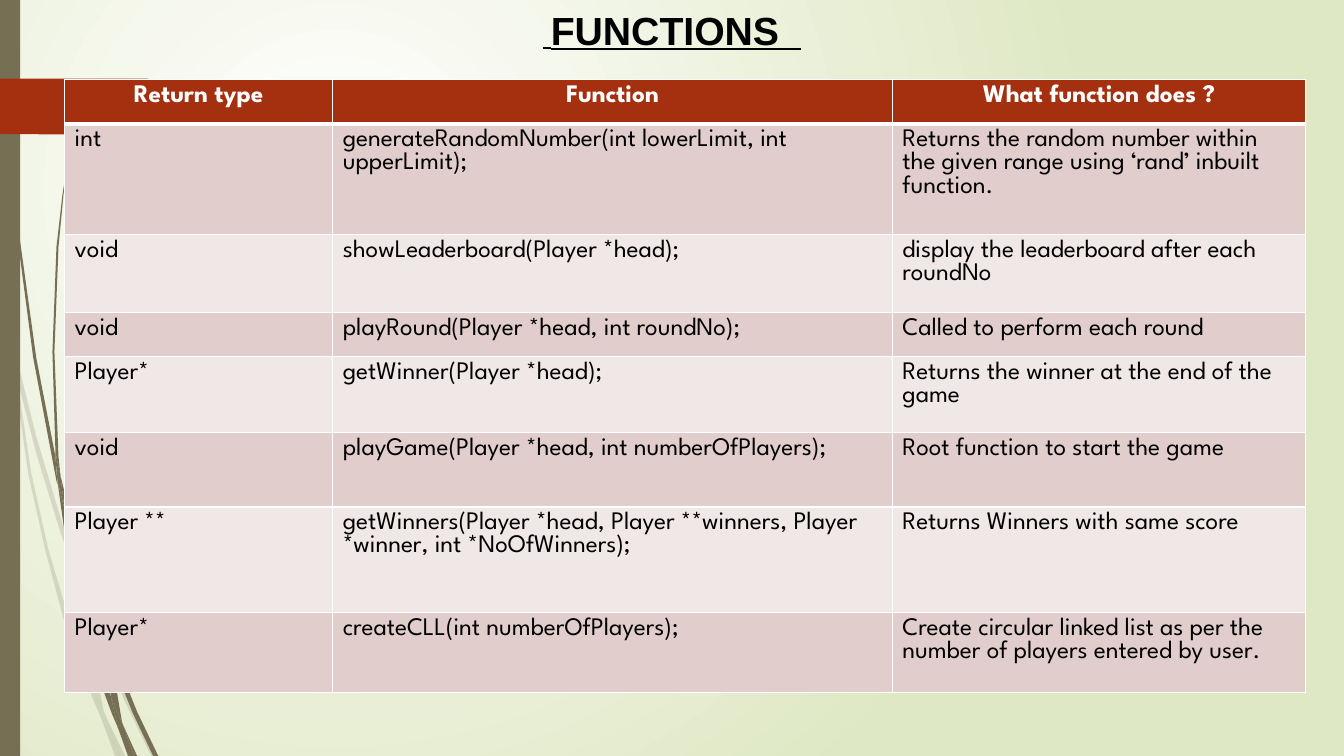
"""Build the FUNCTIONS slide: a table of game functions beside a decorated left edge."""
from dataclasses import dataclass

from lxml import etree
from pptx import Presentation
from pptx import util as u
from pptx.dml.color import RGBColor
from pptx.enum import shapes, text
from pptx.oxml.ns import qn


@dataclass(frozen=True)
class Theme:
    white: str = "FFFFFF"
    black: str = "000000"
    backdrop: str = "DFE8C4"
    olive: str = "766F54"
    rust: str = "A53010"
    bands: tuple = ("E1CDCC", "F0E8E7")
    title_font: str = "Arial"
    table_font: str = "League Spartan"
    title_size: int = 28
    gap_size: int = 20
    table_size: int = 18


THEME = Theme()

COL_WIDTHS = (2.66, 5.55, 4.1)
ROW_HEIGHTS = (0.44, 1.1, 0.77, 0.44, 0.75, 0.74, 1.05, 0.79)
ROWS = (
    ("Return type", "Function", "What function does ?"),
    ("int ", "generateRandomNumber(int lowerLimit, int upperLimit);",
     "Returns the random number within the given range using ‘rand’ inbuilt function."),
    ("void", "showLeaderboard(Player *head);", "display the leaderboard after each roundNo"),
    ("void", "playRound(Player *head, int roundNo);", "Called to perform each round"),
    ("Player*", "getWinner(Player *head);", "Returns the winner at the end of the game"),
    ("void", "playGame(Player *head, int numberOfPlayers);", "Root function to start the game"),
    ("Player **", "getWinners(Player *head, Player **winners, Player *winner, int *NoOfWinners);",
     "Returns Winners with same score"),
    ("Player*", "createCLL(int numberOfPlayers);",
     "Create circular linked list as per the number of players entered by user."),
)

PALE_BLADES = (
    ((0.11, 3.5), (0.09, 3.22), (0, 2.82), (0, 2.99), (0.1, 3.44)),
    ((0.58, 5.22), (0.84, 5.99), (0.85, 5.86), (0.62, 5.2), (0.36, 4.33), (0.14, 3.45),
     (0.17, 3.76), (0.36, 4.5)),
    ((0.92, 6.07), (0.88, 5.96), (0.88, 6.1), (1.23, 6.94), (1.5, 7.5), (1.55, 7.5), (1.27, 6.92)),
    ((1.19, 7.5), (1.24, 7.5), (1.05, 7.11)),
    ((0.93, 6.83), (0.7, 6.19), (0.48, 5.45), (0.31, 4.69), (0.17, 3.76), (0.11, 3.5),
     (0.28, 4.7), (0.45, 5.46), (0.65, 6.21), (0.92, 6.93), (1.01, 7.14), (0.99, 7.07)),
    ((0.84, 5.99), (0.87, 6.46), (0.93, 6.83), (0.96, 6.92), (1.05, 7.11), (1.03, 7.06),
     (0.91, 6.46), (0.88, 6.08)),
    ((1.01, 7.14), (1.14, 7.5), (1.19, 7.5)),
    ((0.96, 6.92), (0.93, 6.83), (0.99, 7.07), (1.01, 7.14), (1.19, 7.5), (1.05, 7.11)),
)
DARK_BLADES = (
    ((0.07, 1.1), (0.17, 2.33), (0.33, 3.55), (0.56, 4.77), (0.57, 4.81), (0.55, 4.53),
     (0.36, 3.55), (0.19, 2.32), (0.08, 1.09), (0.05, 0.48), (0.04, 0), (0.03, 0), (0.04, 0.48)),
    ((0.88, 5.92), (1.06, 6.45), (1.06, 6.31), (0.93, 5.9), (0.75, 5.32), (0.6, 4.72),
     (0.64, 5.05)),
    ((1.13, 6.49), (1.1, 6.41), (1.11, 6.56), (1.32, 7.08), (1.52, 7.5), (1.57, 7.5), (1.36, 7.06)),
    ((1.1, 6.91), (0.98, 6.57), (0.72, 5.56), (0.64, 5.05), (0.57, 4.77), (0.68, 5.57),
     (0.93, 6.59), (1.11, 7.08), (1.17, 7.22), (1.16, 7.17)),
    ((0.6, 4.72), (0.58, 4.53), (0.54, 3.49), (0.58, 2.45), (0.63, 1.93), (0.7, 1.41),
     (0.62, 1.93), (0.56, 2.45), (0.52, 3.49), (0.55, 4.49)),
    ((1.33, 7.5), (1.36, 7.5), (1.22, 7.19)),
    ((0.57, 4.77), (0.64, 5.05), (0.6, 4.72), (0.55, 4.49), (0.55, 4.53)),
    ((1.17, 7.22), (1.27, 7.5), (1.31, 7.5)),
    ((1.06, 6.45), (1.1, 6.91), (1.16, 7.06), (1.22, 7.19), (1.21, 7.16), (1.11, 6.56)),
    ((1.16, 7.06), (1.1, 6.91), (1.17, 7.22), (1.3, 7.5), (1.33, 7.5), (1.22, 7.19)),
)
TAG = ((0, 0.78), (1.46, 0.78), (1.48, 0.79), (1.73, 1.04), (1.74, 1.06), (1.73, 1.08),
       (1.48, 1.33), (1.46, 1.34), (0, 1.33))


def paint(sp, color, alpha=None):
    sp.shadow.inherit = False
    sp.fill.solid()
    sp.fill.fore_color.rgb = RGBColor.from_string(color)
    sp.line.fill.background()
    if alpha:
        clr = sp.element.spPr.find(qn("a:solidFill")).find(qn("a:srgbClr"))
        etree.SubElement(clr, qn("a:alpha"), val=str(alpha * 1000))


def add_outline(container, points, color, alpha=None):
    pts = [(u.Inches(x), u.Inches(y)) for x, y in points]
    builder = container.build_freeform(*pts[0], scale=1.0)
    builder.add_line_segments(pts[1:], close=True)
    paint(builder.convert_to_shape(), color, alpha)


def add_blades(s, blades, alpha=None):
    group = s.shapes.add_group_shape()
    for points in blades:
        add_outline(group.shapes, points, THEME.olive, alpha)


def add_run(p, content, font, size, color, bold=False, underline=None):
    r = p.add_run()
    r.text = content
    r.font.name, r.font.size = font, u.Pt(size)
    r.font.bold, r.font.underline = bold, underline
    r.font.color.rgb = RGBColor.from_string(color)


def set_backdrop(s):
    fill = s.background.fill
    fill.gradient()
    for stop, color in zip(fill.gradient_stops, (THEME.white, THEME.backdrop)):
        stop.color.rgb = RGBColor.from_string(color)
    grad = s.element.find(".//" + qn("a:gradFill"))
    grad.remove(grad.find(qn("a:lin")))
    circle = etree.SubElement(grad, qn("a:path"), path="circle")
    etree.SubElement(circle, qn("a:fillToRect"), l="50000", t="50000", r="100000", b="100000")


def add_title(s):
    tf = s.shapes.add_textbox(u.Inches(3.33), u.Inches(0.01), u.Inches(6.67), u.Inches(0.57)).text_frame
    tf.word_wrap = True
    tf.auto_size = text.MSO_AUTO_SIZE.SHAPE_TO_FIT_TEXT
    p = tf.paragraphs[0]
    p.alignment = text.PP_ALIGN.CENTER
    for content, size in ((" ", THEME.gap_size), ("FUNCTIONS  ", THEME.title_size)):
        add_run(p, content, THEME.title_font, size, THEME.black, True, True)


def set_borders(cell, top, bottom):
    tc_pr = cell._tc.get_or_add_tcPr()
    for i, (side, width) in enumerate((("L", 1), ("R", 1), ("T", top), ("B", bottom))):
        ln = etree.Element(qn("a:ln" + side), w=str(u.Pt(width)))
        solid = etree.SubElement(ln, qn("a:solidFill"))
        etree.SubElement(solid, qn("a:srgbClr"), val=THEME.white)
        tc_pr.insert(i, ln)


def fill_cell(cell, content, row):
    header = row == 0
    cell.fill.solid()
    cell.fill.fore_color.rgb = RGBColor.from_string(THEME.rust if header else THEME.bands[(row - 1) % 2])
    set_borders(cell, 3 if row == 1 else 1, 3 if header else 1)
    p = cell.text_frame.paragraphs[0]
    if header:
        p.alignment = text.PP_ALIGN.CENTER
    add_run(p, content, THEME.table_font, THEME.table_size, THEME.white if header else THEME.black, header)


def add_function_table(s):
    table = s.shapes.add_table(len(ROWS), len(COL_WIDTHS), u.Inches(0.64), u.Inches(0.79),
                               u.Inches(sum(COL_WIDTHS)), u.Inches(sum(ROW_HEIGHTS))).table
    for col, width in zip(table.columns, COL_WIDTHS):
        col.width = u.Inches(width)
    for i, (height, contents) in enumerate(zip(ROW_HEIGHTS, ROWS)):
        table.rows[i].height = u.Inches(height)
        for j, content in enumerate(contents):
            fill_cell(table.cell(i, j), content, i)


def main():
    prs = Presentation()
    prs.slide_width, prs.slide_height = u.Inches(13.33), u.Inches(7.5)
    s = prs.slides.add_slide(prs.slide_layouts[6])
    set_backdrop(s)
    add_blades(s, PALE_BLADES, alpha=20)
    add_blades(s, DARK_BLADES)
    edge = s.shapes.add_shape(shapes.MSO_SHAPE.RECTANGLE, 0, 0, u.Inches(0.2), prs.slide_height)
    paint(edge, THEME.olive)
    add_outline(s.shapes, TAG, THEME.rust)
    add_title(s)
    add_function_table(s)
    prs.save("out.pptx")


main()
